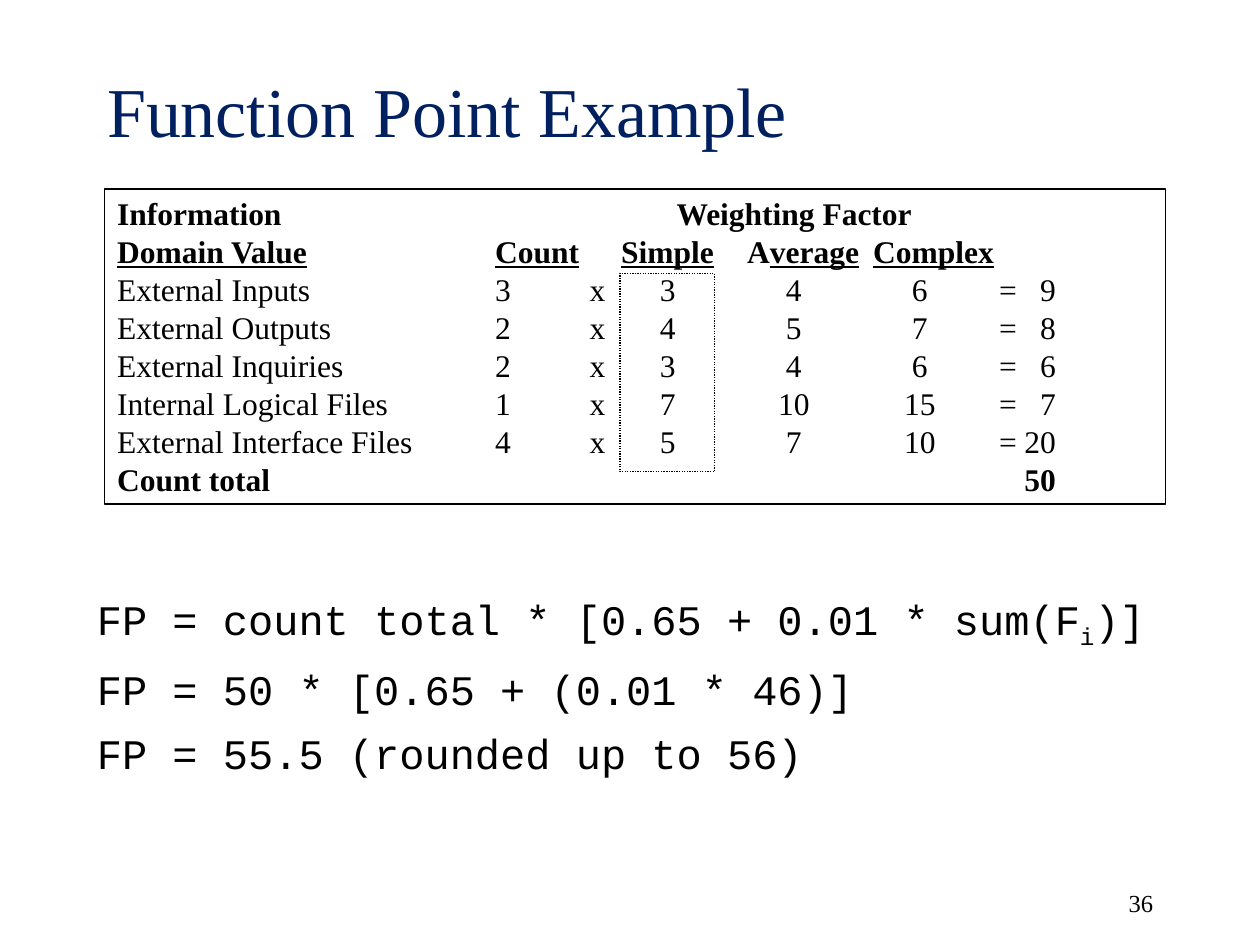
from itertools import accumulate

from pptx import Presentation
from pptx.dml.color import RGBColor
from pptx.enum.dml import MSO_LINE
from pptx.enum.shapes import MSO_SHAPE
from pptx.enum.text import MSO_ANCHOR, PP_ALIGN
from pptx.oxml.ns import qn
from pptx.util import Inches, Pt

SERIF, MONO = "Times New Roman", "Courier New"
BLACK, NAVY = "000000", "002060"
NO_GRID_STYLE = "{2D5ABB26-0587-4C30-8999-92F81FD0307C}"

COLUMN_WIDTHS = [3, 0.75, 0.25, 1, 1, 1, 0.15, 0.3]
COLUMN_LEFTS = [0, *accumulate(COLUMN_WIDTHS)]
COUNT, SIMPLE, AVERAGE, COMPLEX, TOTAL = 1, 3, 4, 5, 7
WEIGHTS = (SIMPLE, AVERAGE, COMPLEX)
WEIGHT_WIDTH = 0.74
ROW_HEIGHT = 0.3

DOMAINS = [
    ("External Inputs", 3, (3, 4, 6), 9),
    ("External Outputs", 2, (4, 5, 7), 8),
    ("External Inquiries", 2, (3, 4, 6), 6),
    ("Internal Logical Files", 1, (7, 10, 15), 7),
    ("External Interface Files", 4, (5, 7, 10), 20),
]
FORMULAS = [
    [("FP = count total * [0.65 + 0.01 * sum(F", {}), ("i", {"baseline": -25}), (")]", {})],
    "FP = 50 * [0.65 + (0.01 * 46)]",
    "FP = 55.5 (rounded up to 56)",
]


def color(hex_string):
    """Return the colour for a hex string."""
    return RGBColor.from_string(hex_string)


def write(paragraph, text, size=18, font=SERIF, fill=BLACK, bold=False,
          underline=False, align=PP_ALIGN.LEFT, space_before=0):
    """Write a string, or (text, overrides) pairs, into a paragraph."""
    paragraph.alignment = align
    paragraph.space_before = Pt(space_before)
    pieces = [(text, {})] if isinstance(text, str) else text
    for words, overrides in pieces:
        run = paragraph.add_run()
        run.text = words
        run.font.name = font
        run.font.size = Pt(size)
        run.font.bold = bold
        run.font.underline = overrides.get("underline", underline)
        run.font.color.rgb = color(fill)
        if "baseline" in overrides:
            run.font._element.set("baseline", str(overrides["baseline"] * 1000))


def outline(slide, box, dash=None):
    """Add an unfilled rectangle with a thin black line."""
    frame = slide.shapes.add_shape(MSO_SHAPE.RECTANGLE, *map(Inches, box))
    frame.shadow.inherit = False
    frame.fill.background()
    frame.line.color.rgb = color(BLACK)
    frame.line.width = Pt(0.75)
    if dash:
        frame.line.dash_style = dash


def add_title(slide, box, text):
    """Place and format the title placeholder."""
    title = slide.shapes.title
    title.left, title.top, title.width, title.height = map(Inches, box)
    title.text_frame.vertical_anchor = MSO_ANCHOR.BOTTOM
    write(title.text_frame.paragraphs[0], text, size=40, fill=NAVY)


def add_lines(slide, box, lines, anchor=MSO_ANCHOR.TOP, gap=0, **style):
    """Add a wrapped text box with one paragraph for each line."""
    frame = slide.shapes.add_textbox(*map(Inches, box)).text_frame
    frame.word_wrap = True
    frame.vertical_anchor = anchor
    for index, line in enumerate(lines):
        paragraph = frame.add_paragraph() if index else frame.paragraphs[0]
        write(paragraph, line, space_before=gap if index else 0, **style)


def add_weighting_table(slide, box):
    """Add the framed function point table, with the simple weights outlined."""
    left, top, _, height = box
    row_count = len(DOMAINS) + 3
    grid_left = left + 0.1
    grid_top = top + (height - row_count * ROW_HEIGHT) / 2
    outline(slide, box)
    grid = slide.shapes.add_table(
        row_count, len(COLUMN_WIDTHS), Inches(grid_left), Inches(grid_top),
        Inches(sum(COLUMN_WIDTHS)), Inches(row_count * ROW_HEIGHT))
    table = grid.table
    table.first_row = table.horz_banding = False
    next(grid._element.iter(qn("a:tableStyleId"))).text = NO_GRID_STYLE
    for column, width in zip(table.columns, COLUMN_WIDTHS):
        column.width = Inches(width)
    for row in table.rows:
        row.height = Inches(ROW_HEIGHT)
    for cell in table.iter_cells():
        cell.fill.background()
        cell.margin_left = cell.margin_right = cell.margin_top = cell.margin_bottom = 0
        cell.vertical_anchor = MSO_ANCHOR.MIDDLE
        cell.text_frame.paragraphs[0].font.size = Pt(18)

    def put(row, column, text, **style):
        """Write one cell."""
        write(table.cell(row, column).text_frame.paragraphs[0], text, **style)

    put(0, 0, "Information", bold=True)
    weighting = table.cell(0, SIMPLE)
    weighting.merge(table.cell(0, COMPLEX))
    weighting.margin_left = Inches(0.44)
    put(0, SIMPLE, "Weighting Factor", bold=True)

    average = [("A", {"underline": False}), ("verage", {})]
    headings = {0: "Domain Value", COUNT: "Count", SIMPLE: "Simple",
                AVERAGE: average, COMPLEX: "Complex"}
    for column, heading in headings.items():
        put(1, column, heading, bold=True, underline=True)

    for row, (domain, count, weights, product) in enumerate(DOMAINS, start=2):
        for column, text in enumerate((domain, str(count), "x")):
            put(row, column, text)
        for column, weight in zip(WEIGHTS, weights):
            table.cell(row, column).margin_right = Inches(
                COLUMN_WIDTHS[column] - WEIGHT_WIDTH)
            put(row, column, str(weight), align=PP_ALIGN.CENTER)
        put(row, TOTAL - 1, "=")
        put(row, TOTAL, str(product), align=PP_ALIGN.RIGHT)

    put(row_count - 1, 0, "Count total", bold=True)
    put(row_count - 1, TOTAL, "50", bold=True, align=PP_ALIGN.RIGHT)
    outline(slide, (grid_left + COLUMN_LEFTS[SIMPLE] - 0.01, grid_top + 2 * ROW_HEIGHT + 0.02,
                    0.75, (len(DOMAINS) + 0.25) * ROW_HEIGHT), MSO_LINE.ROUND_DOT)


def main():
    """Build and save the slide."""
    deck = Presentation()
    deck.slide_width, deck.slide_height = Inches(10), Inches(7.5)
    slide = deck.slides.add_slide(deck.slide_layouts[5])
    add_title(slide, (0.75, 0, 8.5, 1.25), "Function Point Example")
    add_weighting_table(slide, (0.83, 1.5, 8.42, 2.5))
    add_lines(slide, (0.67, 4.66, 8.92, 1.75), FORMULAS, size=24, font=MONO, gap=7.5)
    add_lines(slide, (7.17, 6.83, 2.08, 0.5), ["36"], anchor=MSO_ANCHOR.BOTTOM,
              size=14, align=PP_ALIGN.RIGHT)
    deck.save("out.pptx")


if __name__ == "__main__":
    main()
